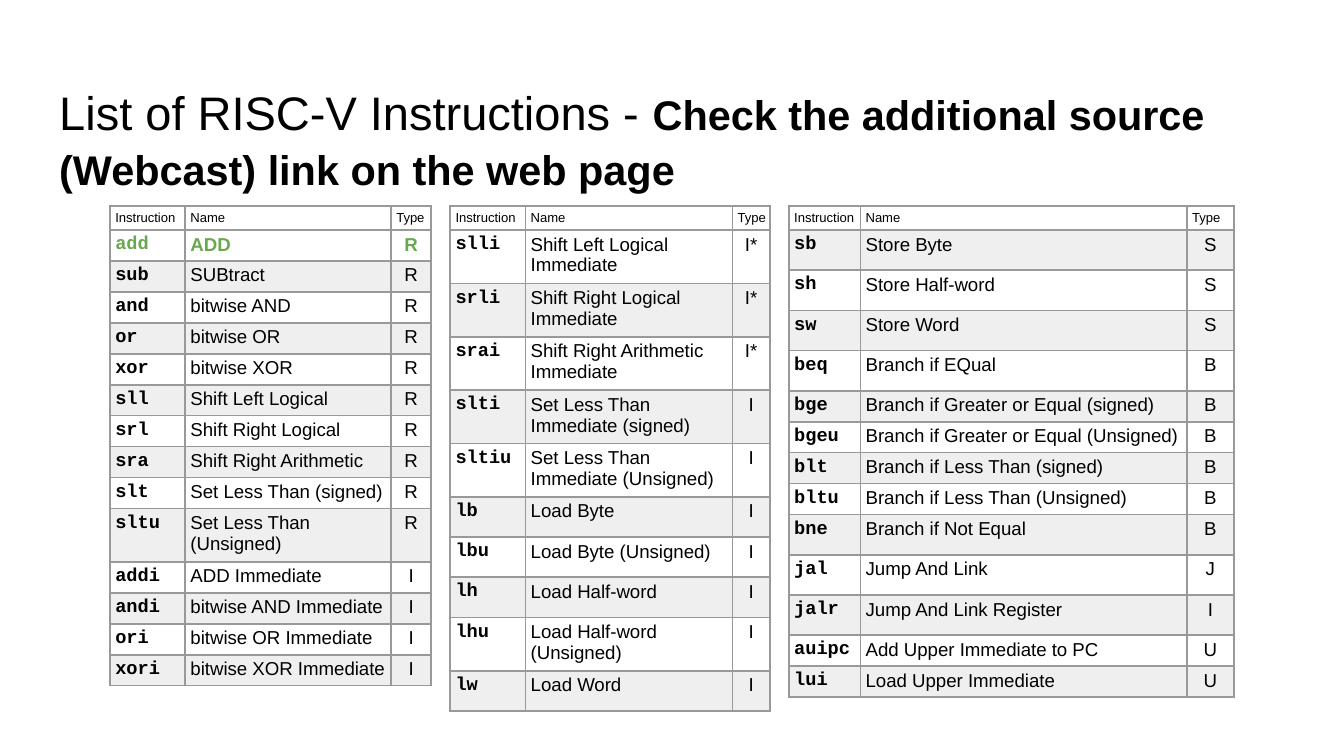
from lxml import etree
from pptx import Presentation
from pptx.dml.color import RGBColor
from pptx.enum import text
from pptx.oxml import ns
from pptx.util import Cm, Pt

BLACK = RGBColor(0x00, 0x00, 0x00)
GREEN = RGBColor(0x6A, 0xA8, 0x4F)
BAND = RGBColor(0xEF, 0xEF, 0xEF)
BORDER = RGBColor(0x99, 0x99, 0x99)

SANS = "Arial"
MONO = "Courier New"

TABLE_TOP = 3.89
HEADER_HEIGHT = 0.42
ROW_HEIGHT = 0.55
TALL_HEIGHT = 0.76

HEADINGS = ("Instruction", "Name", "Type")
REGISTER_ROWS = [
    ("add", "ADD", "R"),
    ("sub", "SUBtract", "R"),
    ("and", "bitwise AND", "R"),
    ("or", "bitwise OR", "R"),
    ("xor", "bitwise XOR", "R"),
    ("sll", "Shift Left Logical", "R"),
    ("srl", "Shift Right Logical", "R"),
    ("sra", "Shift Right Arithmetic", "R"),
    ("slt", "Set Less Than (signed)", "R"),
    ("sltu", "Set Less Than (Unsigned)", "R"),
    ("addi", "ADD Immediate", "I"),
    ("andi", "bitwise AND Immediate", "I"),
    ("ori", "bitwise OR Immediate", "I"),
    ("xori", "bitwise XOR Immediate", "I"),
]
SHIFT_AND_LOAD_ROWS = [
    ("slli", "Shift Left Logical Immediate", "I*"),
    ("srli", "Shift Right Logical Immediate", "I*"),
    ("srai", "Shift Right Arithmetic Immediate", "I*"),
    ("slti", "Set Less Than Immediate (signed)", "I"),
    ("sltiu", "Set Less Than Immediate (Unsigned)", "I"),
    ("lb", "Load Byte", "I"),
    ("lbu", "Load Byte (Unsigned)", "I"),
    ("lh", "Load Half-word", "I"),
    ("lhu", "Load Half-word (Unsigned)", "I"),
    ("lw", "Load Word", "I"),
]
STORE_AND_BRANCH_ROWS = [
    ("sb", "Store Byte", "S"),
    ("sh", "Store Half-word", "S"),
    ("sw", "Store Word", "S"),
    ("beq", "Branch if EQual", "B"),
    ("bge", "Branch if Greater or Equal (signed)", "B"),
    ("bgeu", "Branch if Greater or Equal (Unsigned)", "B"),
    ("blt", "Branch if Less Than (signed)", "B"),
    ("bltu", "Branch if Less Than (Unsigned)", "B"),
    ("bne", "Branch if Not Equal", "B"),
    ("jal", "Jump And Link", "J"),
    ("jalr", "Jump And Link Register", "I"),
    ("auipc", "Add Upper Immediate to PC", "U"),
    ("lui", "Load Upper Immediate", "U"),
]
TALL = {row[0] for row in SHIFT_AND_LOAD_ROWS}
TALL |= {"sb", "sh", "sw", "beq", "bne", "jal", "jalr"}


def add_text(paragraph, content, size=10, font=SANS, color=BLACK, bold=False,
             align=text.PP_ALIGN.LEFT):
    paragraph.alignment = align
    run = paragraph.add_run()
    run.text = content
    run.font.size = Pt(size)
    run.font.name = font
    run.font.color.rgb = color
    run.font.bold = bold


def add_title(slide, left, top, width, height):
    box = slide.shapes.add_textbox(Cm(left), Cm(top), Cm(width), Cm(height))
    frame = box.text_frame
    frame.word_wrap = True
    frame.margin_left = frame.margin_right = Cm(0.25)
    frame.margin_top = frame.margin_bottom = Cm(0.25)
    paragraph = frame.paragraphs[0]
    paragraph.line_spacing = 1.08
    add_text(paragraph, "List of RISC-V Instructions - ", size=25.2)
    add_text(paragraph, "Check the additional source (Webcast) link on the web page",
             size=22.2, bold=True)


def style_cell(cell, fill=None, side_margins=(0.1, 0.05)):
    """Set the margins, the fill (None for clear) and a thin border all round."""
    cell.margin_left, cell.margin_right = (Cm(margin) for margin in side_margins)
    cell.margin_top = cell.margin_bottom = Cm(0.08)
    if fill is None:
        cell.fill.background()
    else:
        cell.fill.solid()
        cell.fill.fore_color.rgb = fill
    properties = cell._tc.get_or_add_tcPr()
    for index, side in enumerate(("lnL", "lnR", "lnT", "lnB")):
        line = etree.Element(ns.qn(f"a:{side}"), w=str(Pt(1)))
        solid = etree.SubElement(line, ns.qn("a:solidFill"))
        etree.SubElement(solid, ns.qn("a:srgbClr"), val=str(BORDER))
        properties.insert(index, line)


def add_instruction_table(slide, left, top, column_widths, rows, first_band, highlight=None):
    """Shade every second row from first_band on; show the highlight row in green."""
    heights = [HEADER_HEIGHT]
    heights += [TALL_HEIGHT if row[0] in TALL else ROW_HEIGHT for row in rows]
    table = slide.shapes.add_table(
        len(heights), len(HEADINGS), Cm(left), Cm(top),
        Cm(sum(column_widths)), Cm(sum(heights))).table
    table.first_row = table.horz_banding = False
    for column, width in zip(table.columns, column_widths):
        column.width = Cm(width)
    for table_row, height in zip(table.rows, heights):
        table_row.height = Cm(height)

    for column, heading in enumerate(HEADINGS):
        cell = table.cell(0, column)
        style_cell(cell)
        cell.vertical_anchor = text.MSO_ANCHOR.MIDDLE
        add_text(cell.text_frame.paragraphs[0], heading, size=7)

    for number, row in enumerate(rows, start=1):
        fill = BAND if number % 2 == first_band % 2 else None
        marked = row[0] == highlight
        for column, content in enumerate(row):
            cell = table.cell(number, column)
            is_type = column == 2
            style_cell(cell, fill, (0, 0) if is_type else (0.1, 0.05))
            add_text(cell.text_frame.paragraphs[0], content,
                     font=MONO if column == 0 else SANS,
                     color=GREEN if marked else BLACK,
                     bold=marked or column == 0,
                     align=text.PP_ALIGN.CENTER if is_type else text.PP_ALIGN.LEFT)


def main():
    presentation = Presentation()
    presentation.slide_width = Cm(25.4)
    presentation.slide_height = Cm(14.29)
    slide = presentation.slides.add_slide(presentation.slide_layouts[6])
    add_title(slide, 0.87, 1.24, 23.67, 1.6)
    add_instruction_table(slide, 2.08, TABLE_TOP, (1.42, 3.89, 0.76),
                          REGISTER_ROWS, first_band=2, highlight="add")
    add_instruction_table(slide, 8.51, TABLE_TOP, (1.42, 3.91, 0.71),
                          SHIFT_AND_LOAD_ROWS, first_band=2)
    add_instruction_table(slide, 14.91, TABLE_TOP, (1.35, 6.17, 0.89),
                          STORE_AND_BRANCH_ROWS, first_band=1)
    presentation.save("out.pptx")


if __name__ == "__main__":
    main()
